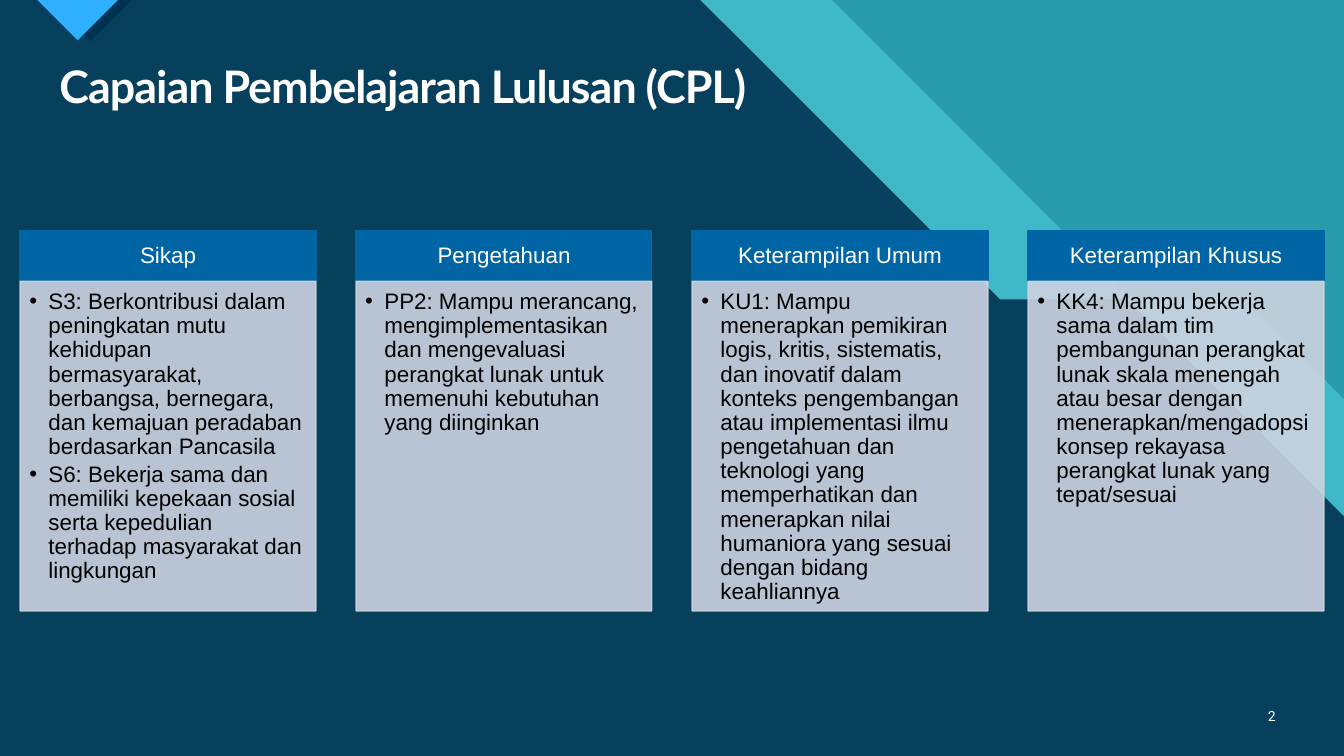
from lxml.etree import SubElement
from pptx import Presentation
from pptx.dml.color import RGBColor
from pptx.enum.shapes import MSO_SHAPE
from pptx.enum.text import MSO_ANCHOR, PP_ALIGN
from pptx.oxml.ns import qn
from pptx.util import Inches, Pt

COLORS = {
    "teal": "299CAB",
    "aqua": "47C3D3",
    "navy": "003352",
    "sky": "2FAFFF",
    "header": "0065A4",
    "panel": "CCD3E0",
    "white": "FFFFFF",
    "black": "000000",
}

BACKDROP = [
    ("aqua", 74, [(0, 0), (61.9, 0), (84.15, 39.6), (92.55, 39.6), (100, 52.8), (100, 100), (0, 100)]),
    ("navy", 90, [(0, 0), (52.1, 0), (74.4, 39.6), (83.85, 39.6), (100, 68.3), (100, 100), (0, 100)]),
    ("navy", 100, [(3.6, 0), (6.75, 5.47), (9.82, 0)]),
    ("sky", 100, [(2.78, 0), (5.78, 5.33), (8.78, 0)]),
]

OUTCOMES = [
    ("Sikap", [
        "S3: Berkontribusi dalam peningkatan mutu kehidupan bermasyarakat, berbangsa, bernegara, "
        "dan kemajuan peradaban berdasarkan Pancasila",
        "S6: Bekerja sama dan memiliki kepekaan sosial serta kepedulian terhadap masyarakat dan lingkungan",
    ]),
    ("Pengetahuan", [
        "PP2: Mampu merancang, mengimplementasikan dan mengevaluasi perangkat lunak "
        "untuk memenuhi kebutuhan yang diinginkan",
    ]),
    ("Keterampilan Umum", [
        "KU1: Mampu menerapkan pemikiran logis, kritis, sistematis, dan inovatif dalam konteks "
        "pengembangan atau implementasi ilmu pengetahuan dan teknologi yang memperhatikan dan "
        "menerapkan nilai humaniora yang sesuai dengan bidang keahliannya",
    ]),
    ("Keterampilan Khusus", [
        "KK4: Mampu bekerja sama dalam tim pembangunan perangkat lunak skala menengah atau besar "
        "dengan menerapkan/mengadopsi konsep rekayasa perangkat lunak yang tepat/sesuai",
    ]),
]


def share(box, left, top, width, height):
    x, y, w, h = box
    return (round(x + w * left / 100), round(y + h * top / 100),
            round(w * width / 100), round(h * height / 100))


def paint(fill, color, opacity=100):
    fill.solid()
    fill.fore_color.rgb = RGBColor.from_string(COLORS[color])
    if opacity < 100:
        clr = fill._xPr.find(qn("a:solidFill"))[0]
        SubElement(clr, qn("a:alpha")).set("val", str(opacity * 1000))


def style(p, size, font, color, bold=False):
    p.line_spacing = 0.9
    for r in p.runs:
        r.font.size = Pt(size)
        r.font.name = font
        r.font.bold = bold
        r.font.color.rgb = RGBColor.from_string(COLORS[color])


def set_insets(tf, left, top, right, bottom):
    tf.word_wrap = True
    tf.margin_left, tf.margin_top = Inches(left), Inches(top)
    tf.margin_right, tf.margin_bottom = Inches(right), Inches(bottom)


def add_panel(s, box, color, opacity=100):
    sp = s.shapes.add_shape(MSO_SHAPE.RECTANGLE, *box)
    sp.shadow.inherit = False
    paint(sp.fill, color, opacity)
    paint(sp.line.fill, color, opacity)
    sp.line.width = Pt(1)
    return sp


def add_backdrop(s, box):
    paint(s.background.fill, "teal")
    for color, opacity, corners in BACKDROP:
        points = [share(box, x, y, 0, 0)[:2] for x, y in corners]
        builder = s.shapes.build_freeform(*points[0])
        builder.add_line_segments(points[1:])
        sp = builder.convert_to_shape()
        sp.shadow.inherit = False
        paint(sp.fill, color, opacity)
        sp.line.fill.background()


def add_title(s, box, text):
    tf = s.shapes.add_textbox(*box).text_frame
    tf.word_wrap = True
    p = tf.paragraphs[0]
    p.text = text
    style(p, 32, "Lato", "white", bold=True)
    p.runs[0].font._element.set("spc", "-70")


def add_page_number(s, box, number):
    tf = s.shapes.add_textbox(*box).text_frame
    tf.word_wrap = True
    tf.vertical_anchor = MSO_ANCHOR.MIDDLE
    p = tf.paragraphs[0]
    p.text = str(number)
    p.alignment = PP_ALIGN.RIGHT
    style(p, 10, "Roboto", "white")


def add_outcome(s, box, heading, items):
    head_share = 13.26
    tf = add_panel(s, share(box, 0, 0, 100, head_share), "header").text_frame
    set_insets(tf, 0.12, 0.07, 0.12, 0.07)
    tf.vertical_anchor = MSO_ANCHOR.MIDDLE
    p = tf.paragraphs[0]
    p.text = heading
    p.alignment = PP_ALIGN.CENTER
    style(p, 16, "Arial", "white")

    body = share(box, 0, head_share, 100, 100 - head_share)
    tf = add_panel(s, body, "panel", 90).text_frame
    set_insets(tf, 0.09, 0.09, 0.12, 0.14)
    tf.vertical_anchor = MSO_ANCHOR.TOP
    tf.text = "\n".join(items)
    for p in tf.paragraphs:
        p.level = 1
        p.alignment = PP_ALIGN.LEFT
        p.space_after = Pt(2.4)
        style(p, 16, "Arial", "black")
        pPr = p._p.get_or_add_pPr()
        pPr.set("marL", str(Inches(0.19)))
        pPr.set("indent", str(-Inches(0.19)))
        SubElement(pPr, qn("a:buFont")).set("typeface", "Arial")
        SubElement(pPr, qn("a:buChar")).set("char", "•")


def add_outcomes(s, box):
    pitch = 100 / len(OUTCOMES)
    for i, (heading, items) in enumerate(OUTCOMES):
        column = share(box, (i + 0.06) * pitch, 0, 0.88 * pitch, 100)
        add_outcome(s, column, heading, items)


def main():
    prs = Presentation()
    prs.slide_width, prs.slide_height = Inches(13.33), Inches(7.5)
    s = prs.slides.add_slide(prs.slide_layouts[6])
    page = (0, 0, prs.slide_width, prs.slide_height)
    add_backdrop(s, page)
    add_title(s, share(page, 3.68, 7.87, 91.95, 7.87), "Capaian Pembelajaran Lulusan (CPL)")
    add_page_number(s, share(page, 92.35, 92.13, 3.3, 5.33), 2)
    add_outcomes(s, share(page, 0, 30.53, 100, 50.27))
    prs.save("out.pptx")


if __name__ == "__main__":
    main()
